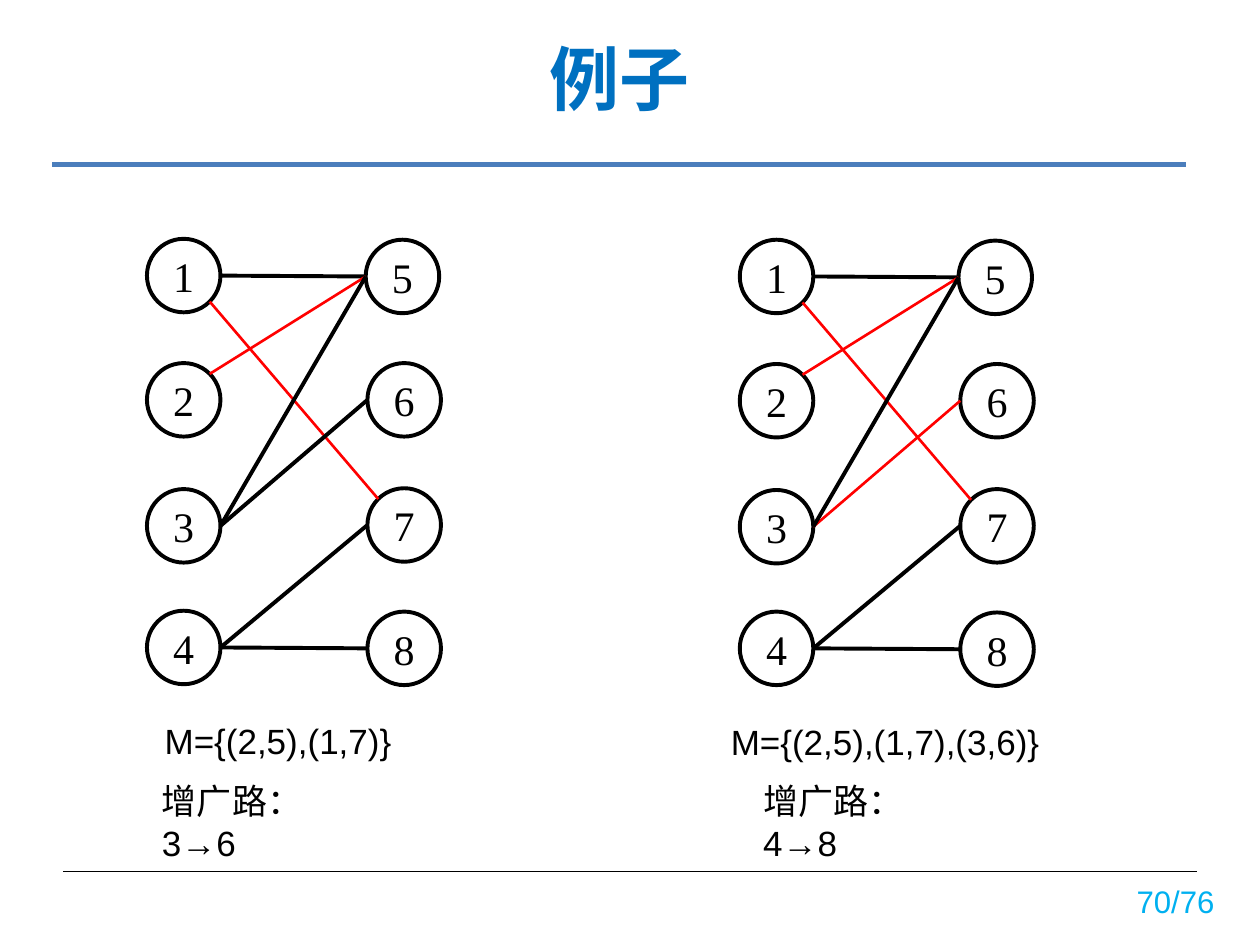
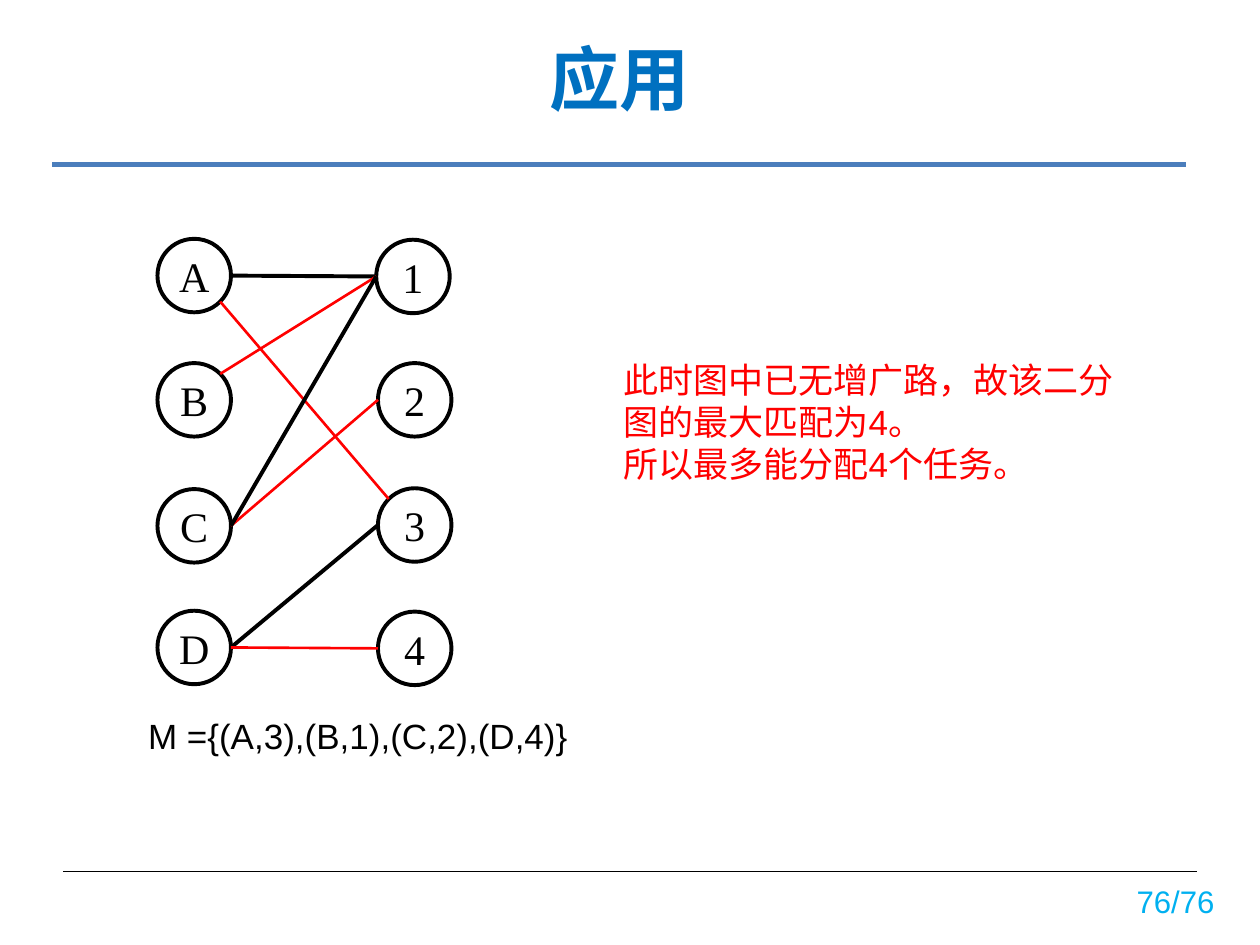
from collections import namedtuple
from dataclasses import dataclass
from math import sqrt

from lxml import etree
from pptx import Presentation
from pptx.dml.color import RGBColor
from pptx.enum.shapes import MSO_CONNECTOR, MSO_SHAPE
from pptx.enum.text import MSO_ANCHOR, MSO_AUTO_SIZE, PP_ALIGN
from pptx.oxml.ns import qn
from pptx.util import Pt

STRAIGHT = MSO_CONNECTOR.STRAIGHT
OVAL = MSO_SHAPE.OVAL
MIDDLE = MSO_ANCHOR.MIDDLE
TOP = MSO_ANCHOR.TOP
CENTER = PP_ALIGN.CENTER
LEFT = PP_ALIGN.LEFT
GROW = MSO_AUTO_SIZE.SHAPE_TO_FIT_TEXT

Box = namedtuple("Box", "left top width height")
Style = namedtuple("Style", "size font color bold", defaults=(False,))
Line = namedtuple("Line", "color width")


@dataclass(frozen=True)
class Theme:
    east_asian: str = "Noto Sans CJK SC"
    title: Style = Style(40, "Noto Sans CJK SC", "0070C0", True)
    text: Style = Style(20, "Arial", "000000")
    conclusion: Style = Style(20, "Arial", "FF0000")
    node: Style = Style(24, "Times New Roman", "000000")
    page_number: Style = Style(17.8, "Arial", "00B0F0")
    header_rule: Line = Line("4B7EBC", 2.75)
    footer_rule: Line = Line("000000", 0.75)
    outline: Line = Line("000000", 2.25)
    matched: Line = Line("FF0000", 1.5)


THEME = Theme()
PAGE_COUNT = 76
TITLE_BOX = Box(30, 3.5, 648, 82)
NUMBER_BOX = Box(638, 479.5, 67.5, 70.5)

DIAMETER = 42
LEFT_NODES = ((0, 0), (0, 71), (0, 143), (0, 212.5))
RIGHT_NODES = ((125, 0.5), (126, 71), (126, 142.5), (126, 213))

# Points on a node, as fractions of its diameter
NEAR = 0.5 - sqrt(2) / 4
FAR = 1 - NEAR
WEST, EAST = (0, 0.5), (1, 0.5)
NORTH_WEST, NORTH_EAST, SOUTH_EAST = (NEAR, NEAR), (FAR, NEAR), (FAR, FAR)

# Edges as (left row, right row), in drawing order
EDGES = ((0, 0), (0, 2), (1, 0), (2, 1), (2, 0), (3, 2), (3, 3))
EDGE_ENDS = {(0, 2): (SOUTH_EAST, NORTH_WEST), (1, 0): (NORTH_EAST, WEST)}


def add_run(para, text, style):
    span = para.add_run()
    span.text = text
    span.font.size = Pt(style.size)
    span.font.name = style.font
    span.font.bold = style.bold
    span.font.color.rgb = RGBColor.from_string(style.color)
    latin = span.font._element.find(qn("a:latin"))
    east_asian = etree.Element(qn("a:ea"), typeface=THEME.east_asian)
    latin.addnext(east_asian)


def fill_text(frame, paragraphs, style, align=LEFT, anchor=TOP, wrap=False):
    frame.word_wrap = wrap
    frame.vertical_anchor = anchor
    for index, text in enumerate(paragraphs):
        para = frame.add_paragraph() if index else frame.paragraphs[0]
        para.alignment = align
        for row, line in enumerate(text.split("\n")):
            if row:
                para.add_line_break()
            add_run(para, line, style)


def add_text(page, box, paragraphs, style=THEME.text):
    shape = page.shapes.add_textbox(*map(Pt, box))
    fill_text(shape.text_frame, paragraphs, style)
    shape.text_frame.auto_size = GROW


def add_line(page, start, end, line):
    connector = page.shapes.add_connector(STRAIGHT, *map(Pt, (*start, *end)))
    connector.line.color.rgb = RGBColor.from_string(line.color)
    connector.line.width = Pt(line.width)
    etree.SubElement(connector._element.spPr, qn("a:effectLst"))


def add_node(page, left, top, label):
    node = page.shapes.add_shape(OVAL, *map(Pt, (left, top, DIAMETER, DIAMETER)))
    node.shadow.inherit = False
    node.fill.background()
    node.line.color.rgb = RGBColor.from_string(THEME.outline.color)
    node.line.width = Pt(THEME.outline.width)
    fill_text(node.text_frame, [label], THEME.node, CENTER, MIDDLE)


def add_bipartite_graph(page, left, top, labels, matching):
    """Draw both columns of nodes, with the edges of the matching in red."""
    for (x, y), label in zip(LEFT_NODES + RIGHT_NODES, labels):
        add_node(page, left + x, top + y, label)

    def site(node, fraction):
        return (left + node[0] + fraction[0] * DIAMETER,
                top + node[1] + fraction[1] * DIAMETER)

    for edge in EDGES:
        leave, arrive = EDGE_ENDS.get(edge, (EAST, WEST))
        add_line(page, site(LEFT_NODES[edge[0]], leave),
                 site(RIGHT_NODES[edge[1]], arrive),
                 THEME.matched if edge in matching else THEME.outline)


def add_page(deck, title, number):
    """Add a slide with its title, rules and page number."""
    page = deck.slides.add_slide(deck.slide_layouts[5])
    number_box = page.shapes.add_textbox(*map(Pt, NUMBER_BOX))
    fill_text(number_box.text_frame, [f"{number}/{PAGE_COUNT}"],
              THEME.page_number, CENTER, MIDDLE, wrap=True)
    add_line(page, (30, 94.25), (678, 94.25), THEME.header_rule)
    add_line(page, (36, 498), (684, 498), THEME.footer_rule)
    heading = page.shapes.title
    heading.left, heading.top, heading.width, heading.height = map(Pt, TITLE_BOX)
    fill_text(heading.text_frame, [title], THEME.title, CENTER, MIDDLE, wrap=True)
    return page


def build_example(deck):
    page = add_page(deck, "例子", 70)
    matching = {(1, 0), (0, 2)}
    add_bipartite_graph(page, 84, 136.5, "12345678", matching)
    add_text(page, Box(87, 407.5, 144.5, 31.5), ["M={(2,5),(1,7)}"])
    add_bipartite_graph(page, 422.75, 137, "12345678", matching | {(2, 1)})
    add_text(page, Box(410.5, 408, 191.5, 31.5), ["M={(2,5),(1,7),(3,6)}"])
    for left, route in ((85.5, "3→6"), (429, "4→8")):
        add_text(page, Box(left, 442, 94.5, 56), [f"增广路：\n{route}"])


def build_application(deck):
    page = add_page(deck, "应用", 76)
    matching = {(0, 2), (1, 0), (2, 1), (3, 3)}
    add_bipartite_graph(page, 90, 136.5, "ABCD1234", matching)
    add_text(page, Box(77.5, 404.5, 255.5, 31.5), ["M ={(A,3),(B,1),(C,2),(D,4)}"])
    add_text(page, Box(349, 201.5, 297.5, 80),
             ["此时图中已无增广路，故该二分", "图的最大匹配为4。", "所以最多能分配4个任务。"],
             THEME.conclusion)


def main():
    deck = Presentation()
    deck.slide_width, deck.slide_height = Pt(720), Pt(540)
    build_example(deck)
    build_application(deck)
    deck.save("out.pptx")


if __name__ == "__main__":
    main()
